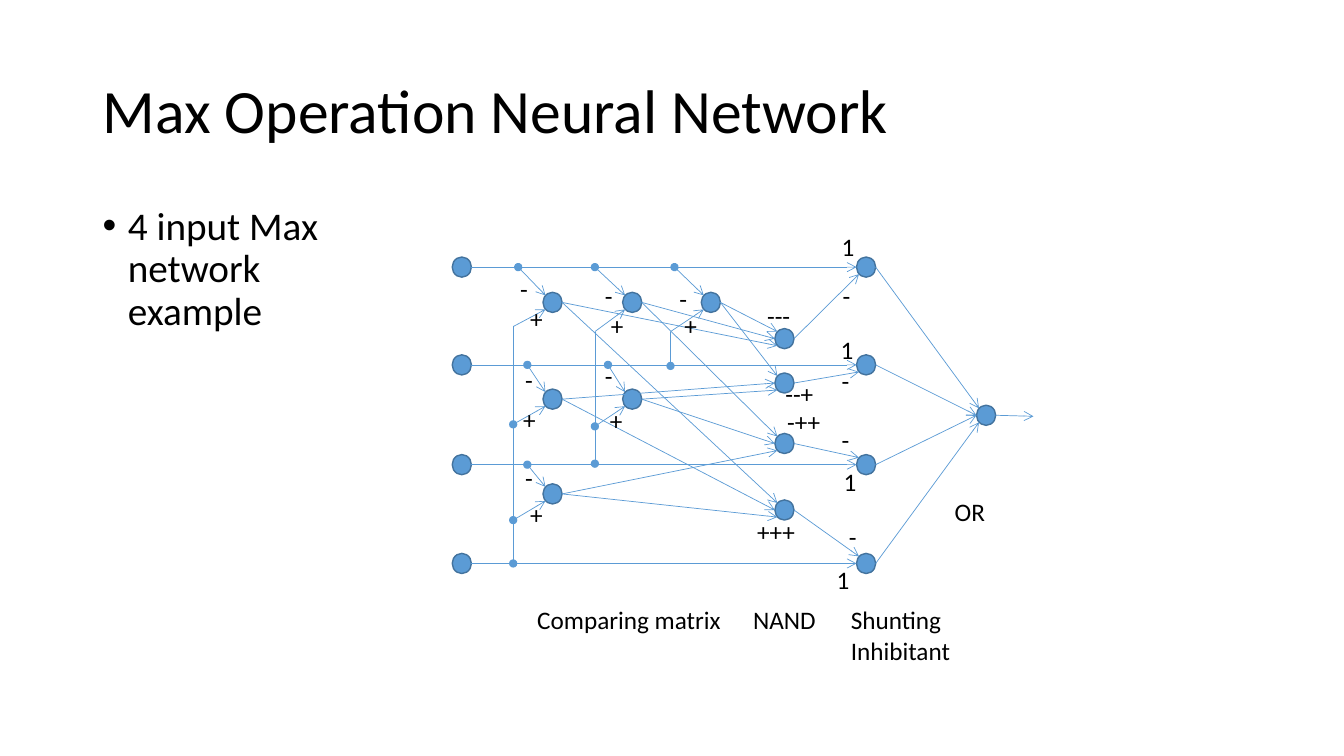
import pptx
import pptx.util
import pptx.dml.color
import pptx.enum.shapes
import pptx.enum.text
import pptx.oxml.ns
from lxml import etree

Inches = pptx.util.Inches
Pt = pptx.util.Pt
qn = pptx.oxml.ns.qn
COLORS = {"text": "000000", "node": "5B9BD5", "edge": "43739E", "wire": "5B9BD5"}


def color(name):
    return pptx.dml.color.RGBColor.from_string(COLORS[name])


def write(frame, text, size=18, spacing=None, before=0, bullet=None):
    """Fill a text frame, one paragraph for each line."""
    for i, line in enumerate(text.split("\n")):
        par = frame.add_paragraph() if i else frame.paragraphs[0]
        par.space_before = Pt(before)
        if spacing:
            par.line_spacing = spacing
        run = par.add_run()
        run.text = line
        run.font.name = "Calibri"
        run.font.size = Pt(size)
        run.font.color.rgb = color("text")
        if bullet:
            props = par._p.get_or_add_pPr()
            props.set("marL", str(Inches(0.25)))
            props.set("indent", str(Inches(-0.25)))
            etree.SubElement(props, qn("a:buFont")).set("typeface", "Arial")
            etree.SubElement(props, qn("a:buChar")).set("char", bullet)


class Sketch:
    """Draws on one slide and keeps the centre of each node."""
    width, height = 0.19, 0.2
    diag = 0.07

    def __init__(self, slide):
        self.shapes = slide.shapes
        self.nodes = {}

    def text(self, text, x, y, w, h=0.4, wrap=False, middle=False, **style):
        box = self.shapes.add_textbox(Inches(x), Inches(y), Inches(w), Inches(h))
        frame = box.text_frame
        frame.word_wrap = wrap
        sizes = pptx.enum.text.MSO_AUTO_SIZE
        frame.auto_size = sizes.NONE if wrap else sizes.SHAPE_TO_FIT_TEXT
        if middle:
            frame.vertical_anchor = pptx.enum.text.MSO_ANCHOR.MIDDLE
        write(frame, text, **style)

    def node(self, name, x, y):
        dot = self.shapes.add_shape(
            pptx.enum.shapes.MSO_SHAPE.OVAL, Inches(x - self.width / 2),
            Inches(y - self.height / 2), Inches(self.width), Inches(self.height))
        dot.shadow.inherit = False
        dot.fill.solid()
        dot.fill.fore_color.rgb = color("node")
        dot.line.color.rgb = color("edge")
        dot.line.width = Pt(1)
        self.nodes[name] = (x, y)

    def site(self, name, side):
        """Point on a node's rim: right, left, up (upper left) or down (lower left)."""
        x, y = self.nodes[name]
        dx, dy = {"right": (self.width / 2, 0), "left": (-self.width / 2, 0),
                  "up": (-self.diag, -self.diag), "down": (-self.diag, self.diag)}[side]
        return x + dx, y + dy

    def wire(self, start, end, dot=False, arrow=True):
        kind = pptx.enum.shapes.MSO_CONNECTOR.STRAIGHT
        wire = self.shapes.add_connector(kind, *(Inches(v) for v in (*start, *end)))
        wire.line.color.rgb = color("wire")
        wire.line.width = Pt(0.5)
        line = wire.line._get_or_add_ln()
        if dot:
            etree.SubElement(line, qn("a:headEnd")).set("type", "oval")
        if arrow:
            etree.SubElement(line, qn("a:tailEnd")).set("type", "arrow")
        etree.SubElement(wire._element.spPr, qn("a:effectLst"))

    def join(self, start, end, side="left"):
        self.wire(self.site(start, "right"), self.site(end, side))


def main():
    deck = pptx.Presentation()
    deck.slide_width, deck.slide_height = Inches(13.33), Inches(7.5)
    net = Sketch(deck.slides.add_slide(deck.slide_layouts[6]))

    # Title and bullet
    net.text("Max Operation Neural Network", 0.92, 0.4, 11.5, 1.45,
             wrap=True, middle=True, size=44, spacing=0.9)
    net.text("4 input Max network example", 0.92, 2, 2.45, 4.76,
             wrap=True, size=28, spacing=0.9, before=10, bullet="•")

    # Nodes: inputs, comparing matrix, NAND, shunting, OR
    rows = (2.65, 3.62, 4.61, 5.59)
    layers = [("in", 4.58, rows), ("a", 5.48, (3, 3.96, 4.9)),
              ("b", 6.27, (3, 3.96)), ("c", 7.05, (3,)),
              ("nand", 7.78, (3.36, 3.8, 4.4, 5.06)),
              ("shunt", 8.59, rows), ("or", 9.78, (4.12,))]
    for layer, x, tops in layers:
        for i, y in enumerate(tops, 1):
            net.node(f"{layer}{i}", x, y)

    # Input lines
    for i in range(1, 5):
        net.join(f"in{i}", f"shunt{i}")

    # Risers from the lower inputs
    for x, low, high in ((5.09, 5.59, 3.23), (5.9, 4.6, 3.29), (6.65, 3.63, 3.29)):
        net.wire((x, low), (x, high), dot=True, arrow=False)

    # Taps into the matrix: plus from below, minus from above
    plus = [("a1", 5.09, 3.24, False), ("a2", 5.09, 4.21, True),
            ("a3", 5.09, 5.16, True), ("b1", 5.9, 3.29, False),
            ("b2", 5.9, 4.23, True), ("c1", 6.65, 3.29, False)]
    for name, x, y, dot in plus:
        net.wire((x, y), net.site(name, "down"), dot=dot)
    minus = [("a1", 5.14, 2.65), ("b1", 5.9, 2.65), ("c1", 6.69, 2.65),
             ("a2", 5.23, 3.62), ("b2", 6.03, 3.62), ("a3", 5.23, 4.61)]
    for name, x, y in minus:
        net.wire((x, y), net.site(name, "up"), dot=True)

    # Matrix to NAND, NAND to shunting, shunting to OR
    links = [("a3", "nand4", "down"), ("a3", "nand3", "down"),
             ("a2", "nand4", "left"), ("a1", "nand4", "up"),
             ("b2", "nand3", "left"), ("b2", "nand2", "down"),
             ("c1", "nand1", "up"), ("b1", "nand1", "left"),
             ("a1", "nand1", "down"), ("c1", "nand2", "up"),
             ("b1", "nand3", "up"), ("a2", "nand2", "left"),
             ("nand1", "shunt1", "down"), ("nand2", "shunt2", "down"),
             ("nand3", "shunt3", "up"), ("nand4", "shunt4", "up"),
             ("shunt1", "or1", "up"), ("shunt2", "or1", "left"),
             ("shunt3", "or1", "left"), ("shunt4", "or1", "down")]
    for link in links:
        net.join(*link)
    net.wire(net.site("or1", "right"), (10.25, 4.13))

    # Layer names
    net.text("Comparing matrix", 5.23, 5.95, 2.02)
    net.text("NAND", 7.37, 5.95, 0.82)
    net.text("Shunting\nInhibitant", 8.34, 5.95, 1.25, 0.7)
    net.text("OR", 9.37, 4.87, 0.5)

    # Weights
    signs = [
        ("+", 0.32, [(5.16, 4.9), (5.09, 3.96), (5.16, 2.96),
                     (5.96, 3.03), (5.95, 3.97), (6.69, 3.03)]),
        ("-", 0.28, [(5.06, 2.66), (5.11, 3.57), (5.9, 3.53), (5.9, 2.73),
                     (6.64, 2.76), (5.11, 4.54), (8.26, 2.73), (8.25, 3.58),
                     (8.25, 4.16), (8.32, 5.12)]),
        ("1", 0.33, [(8.25, 2.25), (8.24, 3.27), (8.27, 4.58), (8.2, 5.55)]),
        ("+++", 0.58, [(7.41, 5.07)]), ("-++", 0.53, [(7.71, 3.98)]),
        ("--+", 0.48, [(7.69, 3.7)]), ("---", 0.43, [(7.51, 2.93)])]
    for sign, width, spots in signs:
        for x, y in spots:
            net.text(sign, x, y, width)

    deck.save("out.pptx")


if __name__ == "__main__":
    main()
